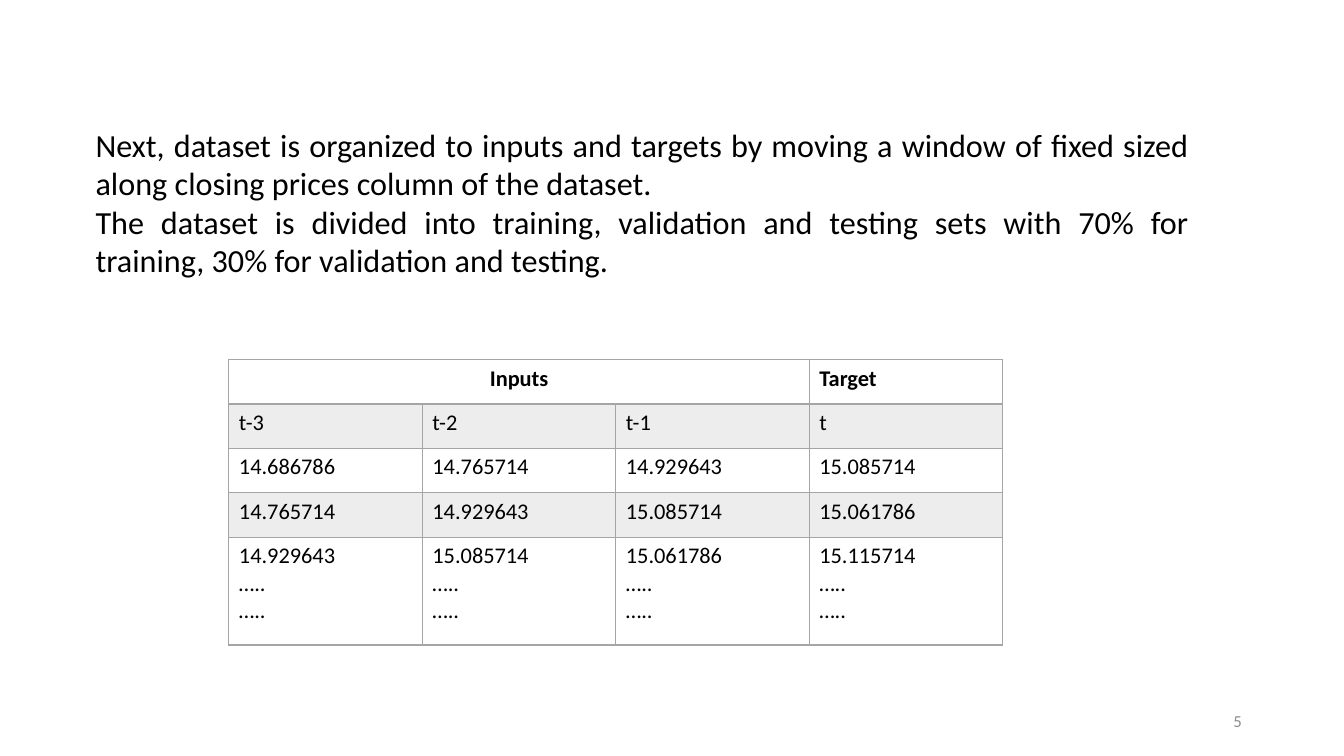
"""Build the slide on windowed inputs and targets."""
import pptx
import pptx.util
import pptx.dml.color
import pptx.enum.text
import pptx.oxml

Pt = pptx.util.Pt
Align = pptx.enum.text.PP_ALIGN
Anchor = pptx.enum.text.MSO_ANCHOR

NOTES = [
    "Next, dataset is organized to inputs and targets by moving a window of fixed sized "
    "along closing prices column of the dataset. ",
    "The dataset is divided into training, validation and testing sets with 70% for "
    "training, 30% for validation and testing. ",
]
MORE = "\n…..\n….."
ROWS = [
    ["Inputs", "", "", "Target"],
    ["t-3", "t-2", "t-1", "t"],
    ["14.686786", "14.765714", "14.929643", "15.085714"],
    ["14.765714", "14.929643", "15.085714", "15.061786"],
    [price + MORE for price in ("14.929643", "15.085714", "15.061786", "15.115714")],
]
PAGE = "5"
GREY, BAND = "A5A5A5", "EDEDED"
WIDE = 138.2
HIGH = [31.7] * 4 + [77]


def color(code):
    return pptx.dml.color.RGBColor.from_string(code)


def write(frame, text, size=16, ink="000000", bold=False, align=Align.LEFT):
    for num, line in enumerate(text.split("\n")):
        para = frame.add_paragraph() if num else frame.paragraphs[0]
        para.alignment = align
        run = para.add_run()
        run.text = line
        font = run.font
        font.name, font.size, font.bold = "Calibri", Pt(size), bold
        font.color.rgb = color(ink)


def add_box(slide, place, text, anchor=Anchor.TOP, **form):
    frame = slide.shapes.add_textbox(*map(Pt, place)).text_frame
    frame.word_wrap = True
    frame.vertical_anchor = anchor
    write(frame, text, **form)


def edge(cell, **widths):
    props = cell._tc.get_or_add_tcPr()
    space = "http://schemas.openxmlformats.org/drawingml/2006/main"
    for num, side in enumerate("LRTB"):
        props.insert(num, pptx.oxml.parse_xml(
            f'<a:ln{side} xmlns:a="{space}" w="{Pt(widths.get(side, 1))}">'
            f'<a:solidFill><a:srgbClr val="{GREY}"/></a:solidFill></a:ln{side}>'))


def add_grid(slide):
    count = len(ROWS[0])
    place = (163.5, 257, WIDE * count, sum(HIGH))
    grid = slide.shapes.add_table(len(ROWS), count, *map(Pt, place)).table
    for col in grid.columns:
        col.width = Pt(WIDE)
    for row, high in zip(grid.rows, HIGH):
        row.height = Pt(high)
    grid.cell(0, 0).merge(grid.cell(0, 2))
    for r, row in enumerate(ROWS):
        for c, text in enumerate(row):
            cell = grid.cell(r, c)
            if r % 2:
                cell.fill.solid()
                cell.fill.fore_color.rgb = color(BAND)
            else:
                cell.fill.background()
            edge(cell, T=2 if r == 1 else 1, B=2 if r == 0 else 1)
            if text:
                align = Align.CENTER if text == "Inputs" else Align.LEFT
                write(cell.text_frame, text, bold=r == 0, align=align)


def main():
    deck = pptx.Presentation()
    deck.slide_width, deck.slide_height = Pt(960), Pt(540)
    slide = deck.slides.add_slide(deck.slide_layouts[6])
    add_box(slide, (61.2, 85.7, 796.3, 145.4), "\n".join(NOTES),
            size=23, align=Align.JUSTIFY)
    add_grid(slide)
    add_box(slide, (678.2, 500.4, 216, 28.8), PAGE, anchor=Anchor.MIDDLE,
            size=12, ink="8C8C8C", align=Align.RIGHT)
    deck.save("out.pptx")


if __name__ == "__main__":
    main()
